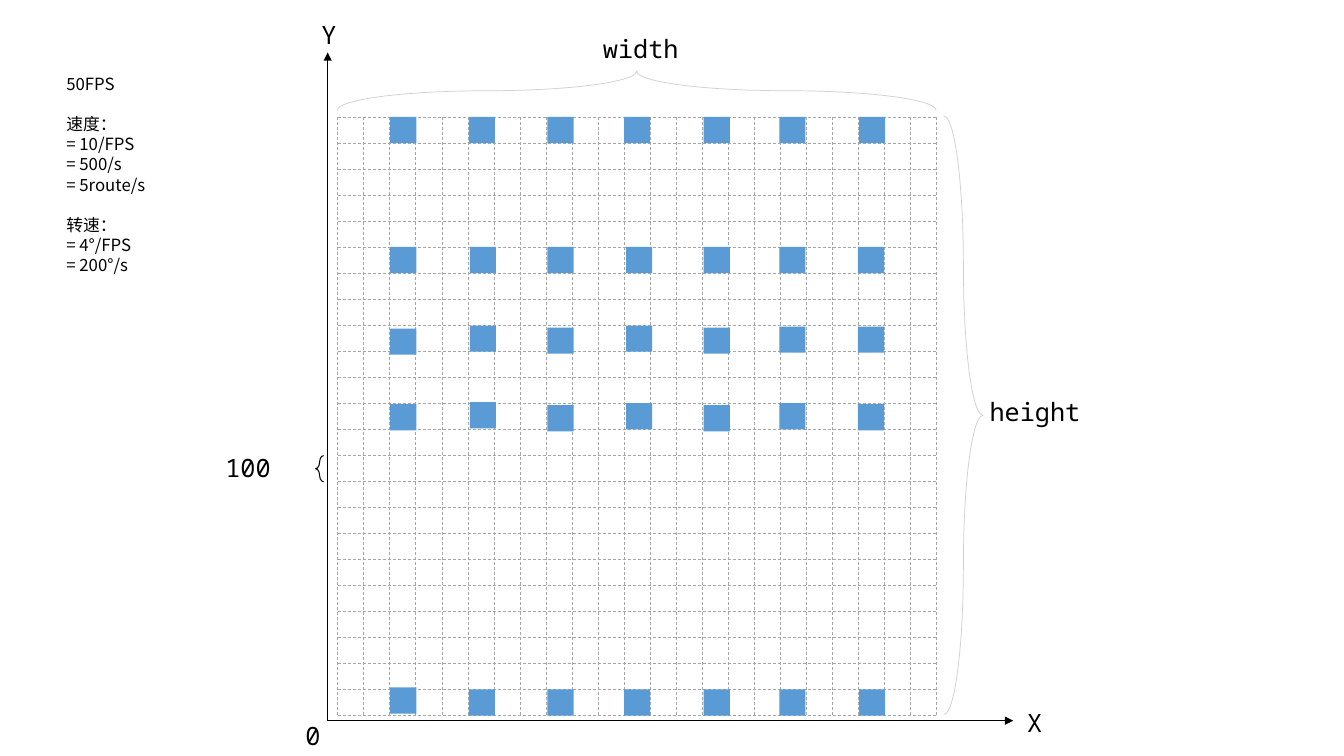
"""Draw a dashed game grid with axes, blocks, braces and speed notes."""
from lxml import etree
from pptx import Presentation
from pptx.dml.color import RGBColor as RGB
from pptx.enum.dml import MSO_LINE as Dash
from pptx.enum.shapes import MSO_CONNECTOR as Link, MSO_SHAPE as Kind
from pptx.enum.text import PP_ALIGN as Align
from pptx.oxml.ns import qn
from pptx.util import Inches, Pt

MONO, SANS = "Noto Sans Mono", "Noto Sans CJK SC"
LEFT, TOP, SIDE, CELLS = 3.35, 1.16, 5.94, 23
STEP = SIDE / CELLS
AXIS = (3.25, 7.15)
TIPS = [(3.25, 0.52), (10.05, 7.15)]

EDGE = [3.87, 4.65, 5.43, 6.19, 6.98, 7.73, 8.52]
INNER = [3.87, 4.66, 5.43, 6.21, 6.98, 7.73, 8.51]
ROWS = [
    (EDGE, [1.16] * 7),
    (INNER, [2.45] * 7),
    (INNER, [3.26, 3.23, 3.25, 3.23, 3.25, 3.24, 3.24]),
    (INNER, [4.01, 3.99, 4.02, 4, 4.02, 4, 4.01]),
    (EDGE, [6.82] + [6.84] * 6),
]
BRACES = [
    ((9.36, 1.15, 0.39, 5.94), 180, "D0CECE", 0.5),
    ((6.12, -2.07, 0.39, 5.94), 90, "D0CECE", 0.5),
    ((3.13, 4.52, 0.08, 0.26), 0, "000000", 0.75),
]
LABELS = [
    ("Y", 3.09, 0.14, 0.34),
    ("X", 10.09, 6.97, 0.34),
    ("0", 2.93, 7.1, 0.34),
    ("width", 5.67, 0.28, 1.37),
    ("height", 9.58, 3.88, 1.37),
    ("100", 2.11, 4.44, 0.7),
]
NOTES = [
    ["50FPS"],
    ["速度：", "= 10/FPS", "= 500/s", "= 5route/s"],
    ["转速：", "= 4°/FPS", "= 200°/s"],
]

deck = Presentation()
deck.slide_width, deck.slide_height = Inches(13.33), Inches(7.5)
slide = deck.slides.add_slide(deck.slide_layouts[6])
shapes = slide.shapes


def paint(part, color):
    part.solid()
    part.fore_color.rgb = RGB.from_string(color)


def rule(start, end, color, width, dash=None, arrow=False):
    line = shapes.add_connector(Link.STRAIGHT, *map(Inches, start + end))
    paint(line.line.fill, color)
    line.line.width = Pt(width)
    if dash:
        line.line.dash_style = dash
    if arrow:
        etree.SubElement(line.line._get_or_add_ln(), qn("a:tailEnd"), type="triangle")
    etree.SubElement(line._element.spPr, qn("a:effectLst"))


def write(groups, box, size, font, align=Align.LEFT, pitch=None):
    frame = shapes.add_textbox(*map(Inches, box)).text_frame
    frame.word_wrap = True
    para = None
    for group in groups:
        for i, line in enumerate(group):
            first = para is None
            para = frame.paragraphs[0] if first else frame.add_paragraph()
            para.alignment = align
            if pitch:
                para.line_spacing = Pt(pitch)
                para.space_before = Pt(pitch if i == 0 and not first else 0)
            run = para.add_run()
            run.text = line
            run.font.size, run.font.name = Pt(size), font
            run.font.color.rgb = RGB.from_string("000000")
            etree.SubElement(run.font._element, qn("a:ea"), typeface=font)


for i in range(CELLS + 1):
    x, y = LEFT + i * STEP, TOP + i * STEP
    rule((x, TOP), (x, TOP + SIDE), "A6A6A6", 0.5, Dash.DASH)
    rule((LEFT, y), (LEFT + SIDE, y), "A6A6A6", 0.5, Dash.DASH)

for tip in TIPS:
    rule(AXIS, tip, "000000", 1, arrow=True)

for lefts, tops in ROWS:
    for x, y in zip(lefts, tops):
        block = shapes.add_shape(Kind.RECTANGLE, *map(Inches, (x, y, 0.26, 0.26)))
        block.shadow.inherit = False
        paint(block.fill, "5B9BD5")
        block.line.fill.background()

for box, turn, color, width in BRACES:
    brace = shapes.add_shape(Kind.LEFT_BRACE, *map(Inches, box))
    brace.shadow.inherit = False
    brace.rotation = turn
    brace.adjustments[0] = 3.85
    brace.fill.background()
    paint(brace.line.fill, color)
    brace.line.width = Pt(width)

for word, x, y, wide in LABELS:
    write([[word]], (x, y, wide, 0.4), 18, MONO, Align.CENTER)
write(NOTES, (0.56, 0.68, 2.36, 2.12), 12, SANS, pitch=14.4)

deck.save("out.pptx")
